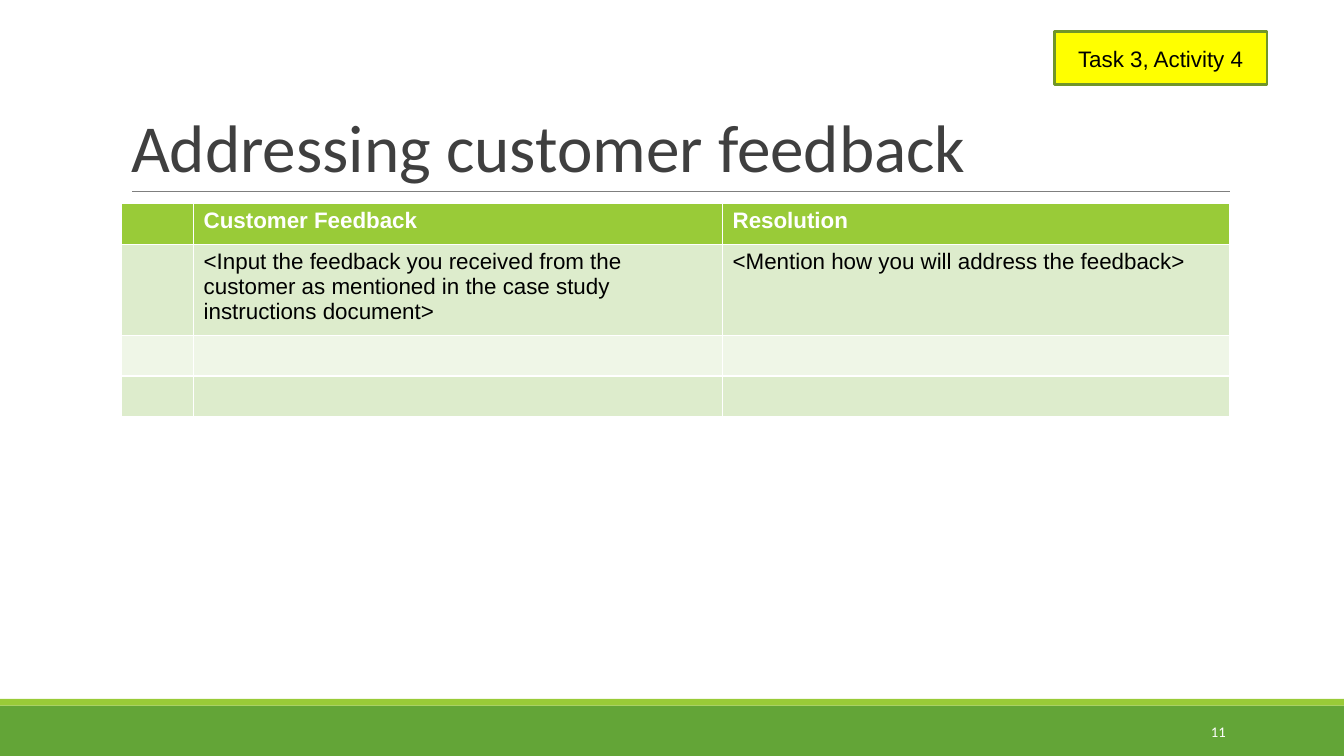
from dataclasses import dataclass

from lxml import etree
from pptx import Presentation
from pptx.dml.color import RGBColor
from pptx.enum.shapes import MSO_CONNECTOR, MSO_SHAPE
from pptx.enum.text import MSO_ANCHOR, MSO_AUTO_SIZE, PP_ALIGN
from pptx.oxml.ns import qn
from pptx.util import Cm, Pt

RECTANGLE = MSO_SHAPE.RECTANGLE
STRAIGHT = MSO_CONNECTOR.STRAIGHT
LEFT, CENTER, RIGHT = PP_ALIGN.LEFT, PP_ALIGN.CENTER, PP_ALIGN.RIGHT
MIDDLE, BOTTOM = MSO_ANCHOR.MIDDLE, MSO_ANCHOR.BOTTOM
NO_AUTOFIT = MSO_AUTO_SIZE.NONE
TITLE_ONLY_LAYOUT = 5

SLIDE_WIDTH, SLIDE_HEIGHT = 33.87, 19.05
FOOTER_TOP, STRIPE_HEIGHT = 17.78, 0.17
CONTENT_LEFT, CONTENT_WIDTH = 3.05, 27.94
COLUMN_WIDTHS = (1.83, 13.33, 12.78)
ROW_HEIGHT = 1.03
FEEDBACK_ROWS = (
    ("", "Customer Feedback", "Resolution"),
    ("", "<Input the feedback you received from the customer as mentioned "
         "in the case study instructions document>",
     "<Mention how you will address the feedback>"),
    ("", "", ""),
    ("", "", ""),
)


@dataclass(frozen=True)
class Theme:
    heading_font: str = "Calibri"
    body_font: str = "Arial"
    title_size: float = 48
    body_size: float = 16
    number_size: float = 10.5
    title: str = "3F3F3F"
    text: str = "000000"
    white: str = "FFFFFF"
    rule: str = "7F7F7F"
    footer: str = "63A537"
    accent: str = "99CB38"
    bands: tuple = ("DDECCC", "EFF6E7")
    tag_fill: str = "FFFF00"
    tag_line: str = "719629"


class SlideBuilder:
    def __init__(self, slide, theme):
        self.slide = slide
        self.shapes = slide.shapes
        self.theme = theme

    def style_paragraph(self, paragraph, name, size, color, align=LEFT, bold=False):
        paragraph.alignment = align
        font = paragraph.font
        font.name, font.size, font.bold = name, Pt(size), bold
        font.color.rgb = RGBColor.from_string(color)

    def add_title(self, text, left, top, width, height):
        title = self.shapes.title
        title.left, title.top = Cm(left), Cm(top)
        title.width, title.height = Cm(width), Cm(height)
        frame = title.text_frame
        frame.text = text
        frame.auto_size = NO_AUTOFIT
        frame.vertical_anchor = BOTTOM
        paragraph = frame.paragraphs[0]
        paragraph.line_spacing = 0.85
        self.style_paragraph(paragraph, self.theme.heading_font,
                             self.theme.title_size, self.theme.title)

    def add_rectangle(self, left, top, width, height, fill, line=None):
        shape = self.shapes.add_shape(RECTANGLE, Cm(left), Cm(top), Cm(width), Cm(height))
        shape.shadow.inherit = False
        shape.fill.solid()
        shape.fill.fore_color.rgb = RGBColor.from_string(fill)
        if line:
            shape.line.color.rgb = RGBColor.from_string(line)
            shape.line.width = Pt(2)
        else:
            shape.line.fill.background()
        return shape

    def add_tag(self, text, left, top, width, height):
        theme = self.theme
        tag = self.add_rectangle(left, top, width, height, theme.tag_fill, theme.tag_line)
        frame = tag.text_frame
        frame.text = text
        frame.vertical_anchor = MIDDLE
        self.style_paragraph(frame.paragraphs[0], theme.body_font, theme.body_size,
                             theme.text, CENTER)

    def add_rule(self, left, right, top):
        rule = self.shapes.add_connector(STRAIGHT, Cm(left), Cm(top), Cm(right), Cm(top))
        rule.line.color.rgb = RGBColor.from_string(self.theme.rule)
        rule.line.width = Pt(0.75)
        properties = rule._element.find(qn("p:spPr"))
        etree.SubElement(properties, qn("a:effectLst"))

    def add_slide_number(self, text, left, top, width, height):
        box = self.shapes.add_textbox(Cm(left), Cm(top), Cm(width), Cm(height))
        frame = box.text_frame
        frame.word_wrap = True
        frame.vertical_anchor = MIDDLE
        frame.text = text
        self.style_paragraph(frame.paragraphs[0], self.theme.heading_font,
                             self.theme.number_size, self.theme.white, RIGHT)

    def add_table(self, rows, column_widths, row_height, left, top):
        """Add a table with a coloured header; the default style draws white borders."""
        theme = self.theme
        table = self.shapes.add_table(
            len(rows), len(column_widths), Cm(left), Cm(top),
            Cm(sum(column_widths)), Cm(row_height * len(rows))).table
        for column, width in zip(table.columns, column_widths):
            column.width = Cm(width)
        for row_index, texts in enumerate(rows):
            table.rows[row_index].height = Cm(row_height)
            header = row_index == 0
            fill = theme.accent if header else theme.bands[(row_index - 1) % 2]
            color = theme.white if header else theme.text
            for column_index, text in enumerate(texts):
                cell = table.cell(row_index, column_index)
                cell.fill.solid()
                cell.fill.fore_color.rgb = RGBColor.from_string(fill)
                cell.text = text
                self.style_paragraph(cell.text_frame.paragraphs[0], theme.body_font,
                                     theme.body_size, color, bold=header)


def main():
    presentation = Presentation()
    presentation.slide_width = Cm(SLIDE_WIDTH)
    presentation.slide_height = Cm(SLIDE_HEIGHT)
    slide = presentation.slides.add_slide(presentation.slide_layouts[TITLE_ONLY_LAYOUT])
    theme = Theme()
    builder = SlideBuilder(slide, theme)

    builder.add_rectangle(0, FOOTER_TOP, SLIDE_WIDTH, SLIDE_HEIGHT - FOOTER_TOP, theme.footer)
    builder.add_rectangle(0, FOOTER_TOP - STRIPE_HEIGHT, SLIDE_WIDTH, STRIPE_HEIGHT, theme.accent)
    builder.add_rule(3.33, CONTENT_LEFT + CONTENT_WIDTH, 4.83)
    builder.add_title("Addressing customer feedback", CONTENT_LEFT, 0.79, CONTENT_WIDTH, 4.04)
    builder.add_slide_number("11", 27.51, 17.93, 3.63, 1.02)
    builder.add_table(FEEDBACK_ROWS, COLUMN_WIDTHS, ROW_HEIGHT, CONTENT_LEFT, 5.13)
    builder.add_tag("Task 3, Activity 4", 26.57, 0.79, 5.36, 1.35)

    presentation.save("out.pptx")


if __name__ == "__main__":
    main()
